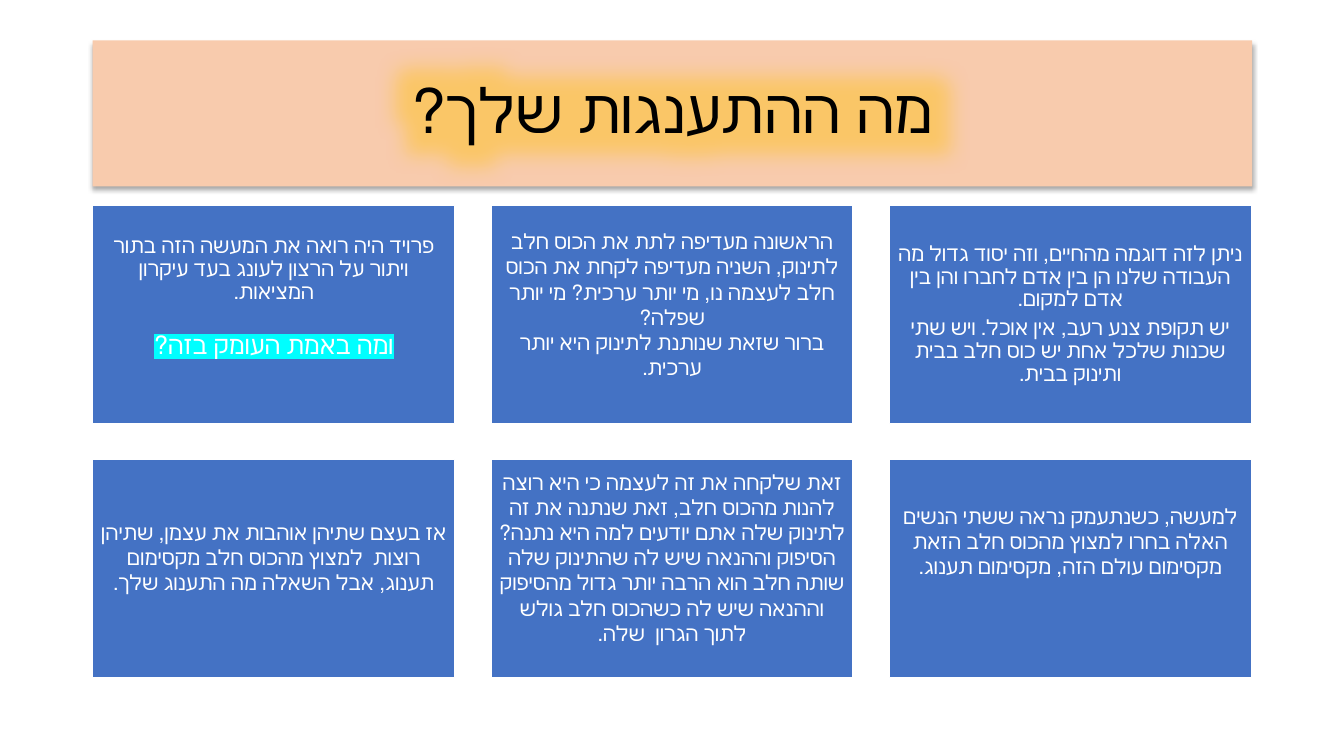
from lxml import etree
from pptx import Presentation
from pptx.dml.color import RGBColor
from pptx.enum.shapes import MSO_SHAPE
from pptx.enum.text import MSO_ANCHOR, PP_ALIGN
from pptx.oxml import parse_xml
from pptx.oxml.ns import qn
from pptx.util import Inches, Pt

RECT = MSO_SHAPE.RECTANGLE
MIDDLE = MSO_ANCHOR.MIDDLE
CENTER = PP_ALIGN.CENTER
FONT = "Calibri"
A_NS = "http://schemas.openxmlformats.org/drawingml/2006/main"
LEFT, TOP = 0.92, 2.04
CARD_W, CARD_H = 3.59, 2.16
STEP_X, STEP_Y = 3.95, 2.52
INSET = 0.06

SHADOW = (f'<a:effectLst xmlns:a="{A_NS}"><a:outerShdw blurRad="44450" dist="27940" '
          'dir="5400000" algn="ctr"><a:srgbClr val="000000"><a:alpha val="32000"/>'
          '</a:srgbClr></a:outerShdw></a:effectLst>')
GLOW = (f'<a:effectLst xmlns:a="{A_NS}"><a:glow rad="838200"><a:srgbClr val="FFC000">'
        '<a:alpha val="40000"/></a:srgbClr></a:glow></a:effectLst>')

TIGHT = dict(spacing=0.9, after=4.5)
CARDS = [
    [
        (0.33, [("פרויד היה רואה את המעשה הזה בתור ויתור על הרצון לעונג בעד עיקרון המציאות.", TIGHT),
                ("ומה באמת העומק בזה?",
                 dict(size=18, spacing=0.9, before=16, highlight="00FFFF"))]),
        (0.2, [("הראשונה מעדיפה לתת את הכוס חלב לתינוק, השניה מעדיפה לקחת את הכוס חלב לעצמה נו, "
                "מי יותר ערכית? מי יותר שפלה?", {}),
               ("ברור שזאת שנותנת לתינוק היא יותר ערכית.", {})]),
        (0, [("ניתן לזה דוגמה מהחיים, וזה יסוד גדול מה העבודה שלנו הן בין אדם לחברו "
              "והן בין אדם למקום.", TIGHT),
             ("יש תקופת צנע רעב, אין אוכל. ויש שתי שכנות שלכל אחת יש כוס חלב בבית "
              "ותינוק בבית.", TIGHT)]),
    ],
    [
        (0.22, [("אז בעצם שתיהן אוהבות את עצמן, שתיהן רוצות  למצוץ מהכוס חלב מקסימום תענוג, "
                 "אבל השאלה מה התענוג שלך.", {})]),
        (0.22, [("זאת שלקחה את זה לעצמה כי היא רוצה להנות מהכוס חלב, זאת שנתנה את זה לתינוק שלה "
                 "אתם יודעים למה היא נתנה? הסיפוק וההנאה שיש לה שהתינוק שלה שותה חלב הוא הרבה "
                 "יותר גדול מהסיפוק וההנאה שיש לה כשהכוס חלב גולש לתוך הגרון  שלה.", {})]),
        (0.54, [("למעשה, כשנתעמק נראה ששתי הנשים האלה בחרו למצוץ מהכוס חלב הזאת "
                 "מקסימום עולם הזה, מקסימום תענוג.", {})]),
    ],
]


def rgb(value):
    return RGBColor.from_string(value)


def write(p, text, size=15, color="FFFFFF", spacing=1.0, before=0, after=0,
          highlight=None, glow=False):
    p.alignment = CENTER
    p.line_spacing = spacing
    p.space_before, p.space_after = Pt(before), Pt(after)
    p._p.get_or_add_pPr().set("rtl", "1")
    r = p.add_run()
    r.text = text
    r.font.size = Pt(size)
    r.font.color.rgb = rgb(color)
    r.font.name = FONT
    props = r._r.get_or_add_rPr()
    props.set("lang", "he-IL")
    fill = props.find(qn("a:solidFill"))
    if highlight:
        mark = etree.Element(qn("a:highlight"))
        etree.SubElement(mark, qn("a:srgbClr"), val=highlight)
        fill.addnext(mark)
    if glow:
        fill.addnext(parse_xml(GLOW))


def add_box(slide, left, top, width, height, fill, line=None):
    sp = slide.shapes.add_shape(RECT, Inches(left), Inches(top), Inches(width), Inches(height))
    sp.shadow.inherit = False
    sp.fill.solid()
    sp.fill.fore_color.rgb = rgb(fill)
    if line:
        sp.line.color.rgb = rgb(line)
        sp.line.width = Pt(1)
    else:
        sp.line.fill.background()
    sp.text_frame.word_wrap = True
    sp.text_frame.vertical_anchor = MIDDLE
    return sp


def add_title(slide, text):
    sp = add_box(slide, LEFT, 0.4, 11.5, 1.45, "F8CBAD")
    props = sp._element.spPr
    props.replace(props.find(qn("a:effectLst")), parse_xml(SHADOW))
    write(sp.text_frame.paragraphs[0], text, size=44, color="000000", spacing=0.9, glow=True)


def add_card(slide, left, top, lift, paragraphs):
    tf = add_box(slide, left, top, CARD_W, CARD_H, "4472C4", "FFFFFF").text_frame
    tf.margin_left = tf.margin_right = tf.margin_top = Inches(INSET)
    tf.margin_bottom = Inches(INSET + lift)
    for i, (text, style) in enumerate(paragraphs):
        p = tf.add_paragraph() if i else tf.paragraphs[0]
        write(p, text, **style)


def main():
    prs = Presentation()
    prs.slide_width, prs.slide_height = Inches(13.33), Inches(7.5)
    slide = prs.slides.add_slide(prs.slide_layouts[6])
    add_title(slide, "מה ההתענגות שלך?")
    for row, cards in enumerate(CARDS):
        for col, (lift, paragraphs) in enumerate(cards):
            add_card(slide, LEFT + col * STEP_X, TOP + row * STEP_Y, lift, paragraphs)
    prs.save("out.pptx")


if __name__ == "__main__":
    main()
